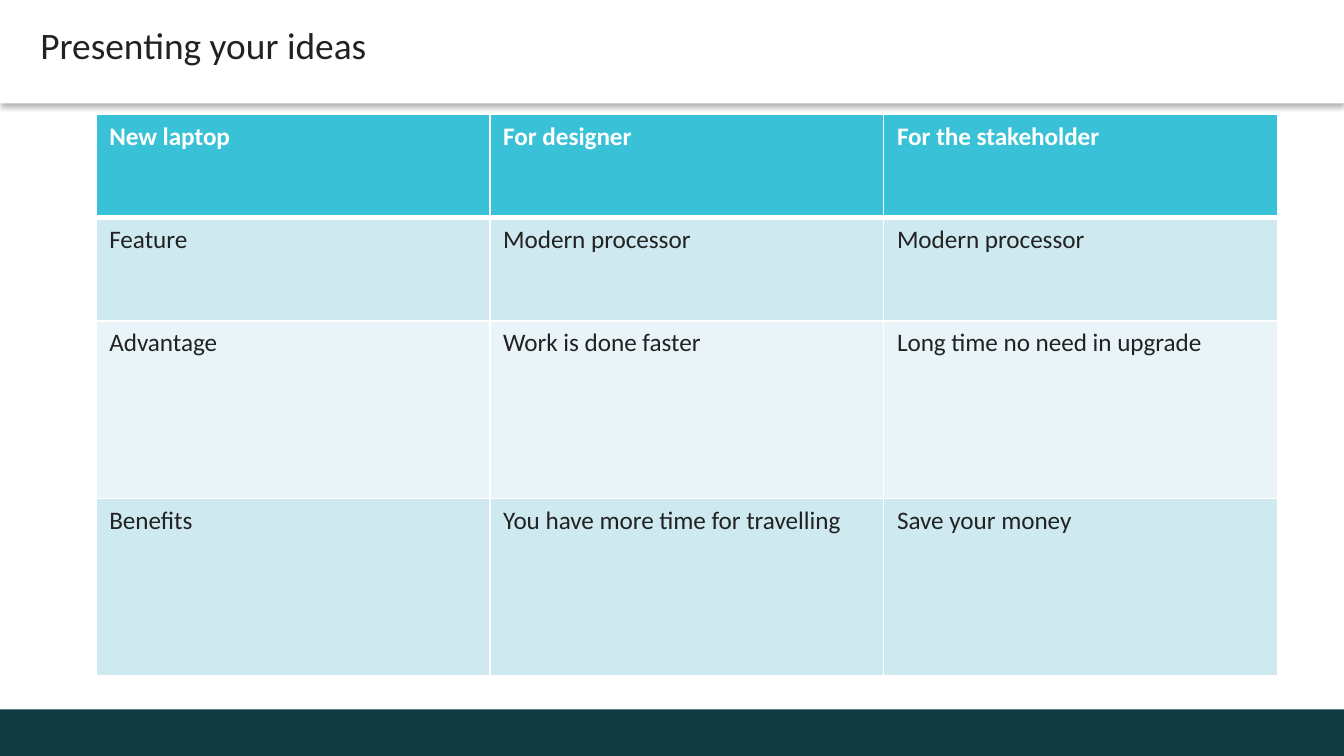
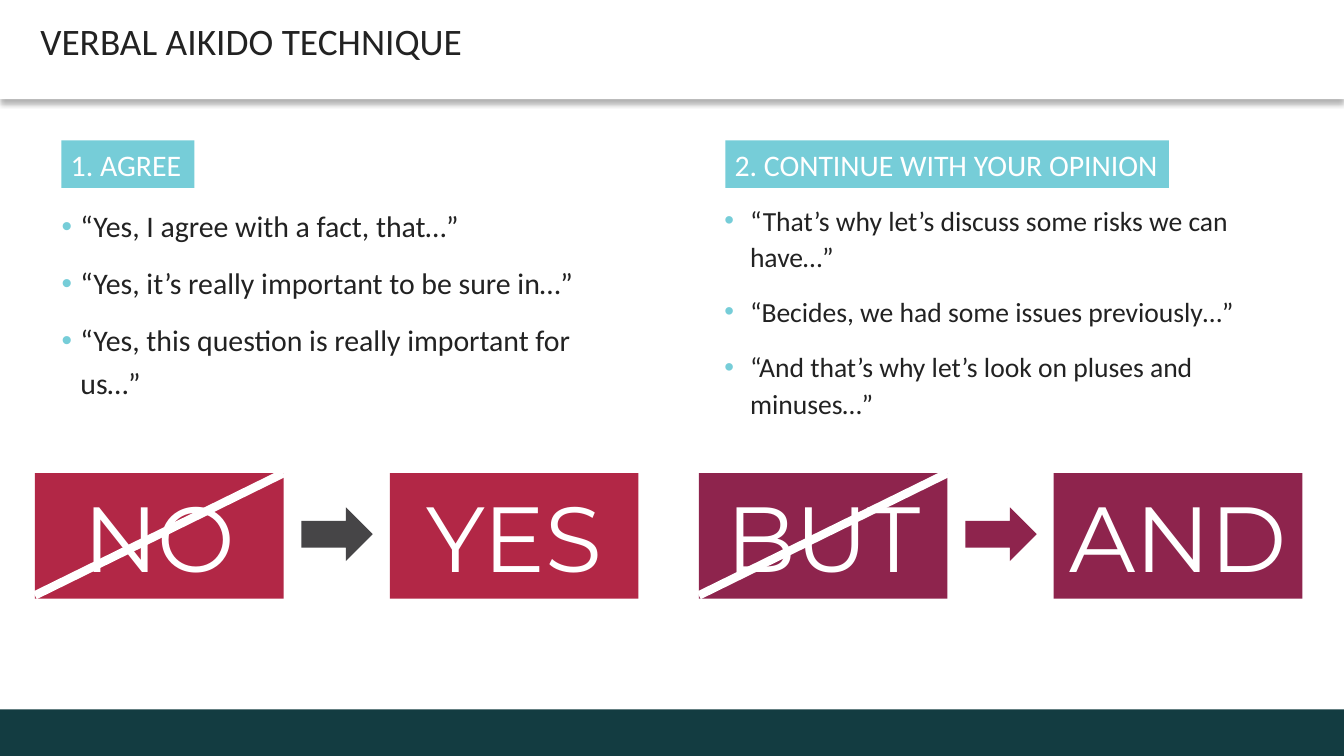
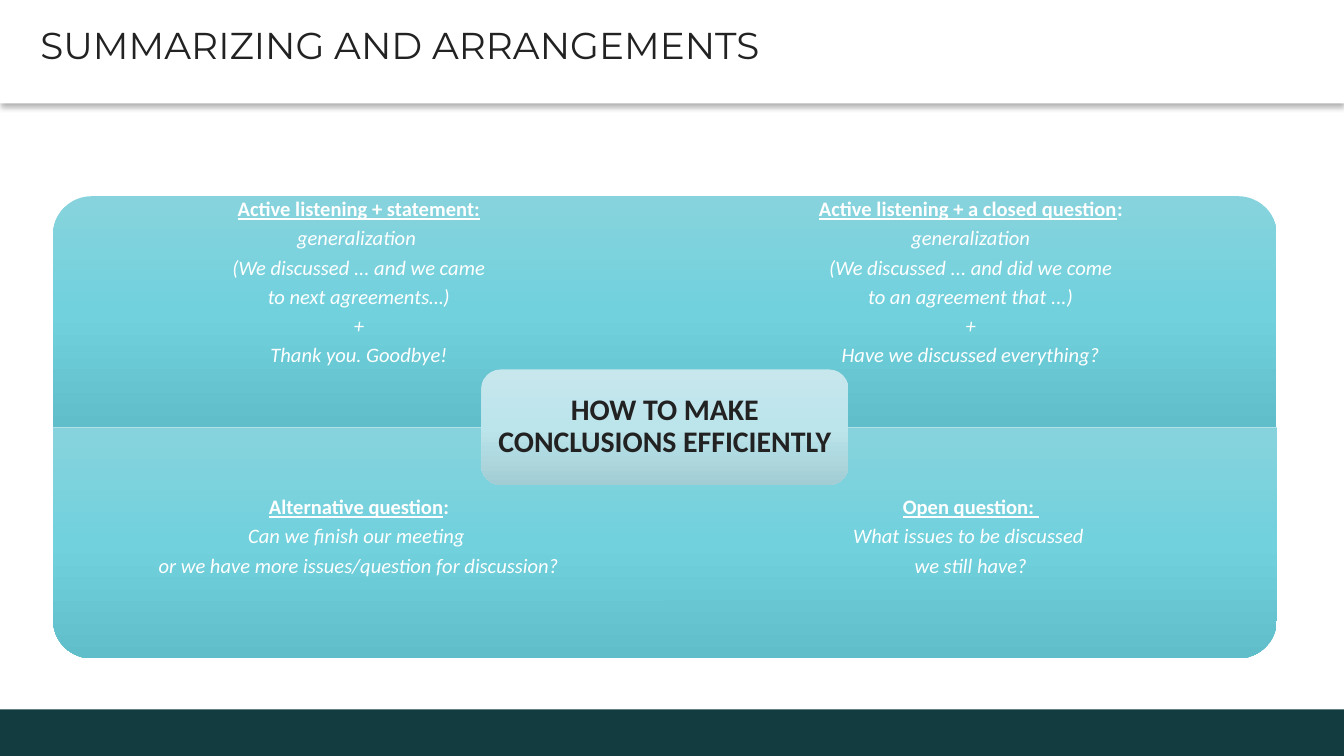
from pptx import Presentation
from pptx.dml.color import RGBColor
from pptx.enum.shapes import MSO_CONNECTOR as Link, MSO_SHAPE as Preset
from pptx.enum.text import MSO_ANCHOR as Anchor, MSO_AUTO_SIZE as AutoSize, PP_ALIGN as Align
from pptx.oxml import parse_xml
from pptx.oxml.ns import nsdecls
from pptx.util import Pt

INK, WHITE, FOOTER, ACCENT = "222222", "FFFFFF", "133C41", "76CDD8"
TABLE_HEAD, TABLE_BANDS = "39C2D7", ("CEE9F0", "E8F4F8")
QUADRANT_STOPS = ("87D3DD", "71D1DD", "5FBECA")
HUB_STOPS = ("C7E7ED", "BBE4EB", "A3CDD4")
WIDTH, HEIGHT, BAND_HEIGHT, FOOTER_HEIGHT = 720, 405, 55.4, 25

IDEAS_TITLE = "Presenting your ideas"
IDEAS = [
    ("New laptop", "For designer", "For the stakeholder"),
    ("Feature", "Modern processor", "Modern processor"),
    ("Advantage", "Work is done faster", "Long time no need in upgrade"),
    ("Benefits", "You have more time for travelling", "Save your money"),
]
IDEAS_COLUMN, IDEAS_ROWS = 211, (55.4, 55.4, 95, 95)

AIKIDO_TITLE = "VERBAL AIKIDO TECHNIQUE"
AIKIDO_PITCH = 355.7
AIKIDO_STEPS = [
    {
        "heading": "1. AGREE", "heading_width": 71.3,
        "phrases": ["“Yes, I agree with a fact, that…”",
                    "“Yes, it’s really important to be sure in…”",
                    "“Yes, this question is really important for us…”"],
        "size": 16, "spacing": 1.2, "after": 7.5, "indent": 10, "inset": 5,
        "words": ("NO", "YES"), "word_color": "B22746", "arrow_color": "464547",
    },
    {
        "heading": "2. CONTINUE WITH YOUR OPINION", "heading_width": 237.6,
        "phrases": ["“That’s why let’s discuss some risks we can have…”",
                    "“Becides, we had some issues previously…”",
                    "“And that’s why let’s look on pluses and minuses…”"],
        "size": 14.8, "spacing": 1.1, "after": 10, "indent": 13.7, "inset": 4.3,
        "words": ("BUT", "AND"), "word_color": "8E244D", "arrow_color": "8E244D",
    },
]

SUMMARY_TITLE = "SUMMARIZING AND ARRANGEMENTS"
SUMMARY_HUB = "HOW TO MAKE CONCLUSIONS EFFICIENTLY"
SUMMARY_QUADRANTS = [
    (270, ("Active listening + statement:", ""),
     ["generalization ", "(We discussed ... and we came", "to next agreements…)", "+",
      "Thank you. Goodbye!"]),
    (0, ("Active listening + a closed question", ":"),
     ["generalization", "(We discussed ... and did we come", "to an agreement that ...)", "+",
      "Have we discussed everything?"]),
    (180, ("Alternative question", ":"),
     ["Can we finish our meeting ", "or we have more issues/question for discussion?"]),
    (90, ("Open question: ", ""),
     ["What issues to be discussed ", "we still have?"]),
]


def rgb(color):
    """Turn a hex string into a colour."""
    return RGBColor.from_string(color)


def place(part, left, top, width, height):
    """Move and size a shape, in points."""
    part.left, part.top, part.width, part.height = (Pt(n) for n in (left, top, width, height))


def paint(part, color):
    """Fill a shape or cell with one colour."""
    part.fill.solid()
    part.fill.fore_color.rgb = rgb(color)


def shade(part, stops):
    """Fill a shape with a vertical gradient that ignores its rotation."""
    marks = "".join(f'<a:gs pos="{50000 * i}"><a:srgbClr val="{stop}"/></a:gs>'
                    for i, stop in enumerate(stops))
    part.element.spPr.insert(2, parse_xml(
        f'<a:gradFill {nsdecls("a")} rotWithShape="0"><a:gsLst>{marks}</a:gsLst>'
        '<a:lin ang="5400000" scaled="0"/></a:gradFill>'))


def write(run, size, color=INK, font="Calibri", bold=False, italic=False, underline=False):
    """Format one run."""
    run.font.size, run.font.name, run.font.color.rgb = Pt(size), font, rgb(color)
    run.font.bold, run.font.italic, run.font.underline = bold, italic, underline


def frame(part, inset, anchor=Anchor.MIDDLE, wrap=True):
    """Set up the text area of a shape; inset is left, top, right, bottom."""
    area = part.text_frame
    area.auto_size, area.word_wrap, area.vertical_anchor = AutoSize.NONE, wrap, anchor
    area.margin_left, area.margin_top, area.margin_right, area.margin_bottom = map(Pt, inset)
    return area


def block(slide, preset, left, top, width, height, color=None):
    """Add a plain preset shape without line or shadow."""
    part = slide.shapes.add_shape(preset, Pt(left), Pt(top), Pt(width), Pt(height))
    part.line.fill.background()
    part.shadow.inherit = False
    if color:
        paint(part, color)
    return part


def new_slide(deck, layout, title, top=0, font="Calibri"):
    """Add a slide with the white, shadowed title band."""
    slide = deck.slides.add_slide(deck.slide_layouts[layout])
    band = slide.shapes.title
    place(band, 0, top, WIDTH, BAND_HEIGHT)
    paint(band, WHITE)
    band.element.spPr.append(parse_xml(
        f'<a:effectLst {nsdecls("a")}><a:outerShdw blurRad="{Pt(3.1)}" dist="{Pt(2)}" '
        'dir="5400000" algn="t" rotWithShape="0"><a:srgbClr val="000000">'
        '<a:alpha val="30000"/></a:srgbClr></a:outerShdw></a:effectLst>'))
    heading = frame(band, (21.6, 2.9, 5, 2.9))
    heading.text = title
    line = heading.paragraphs[0]
    line.alignment, line.line_spacing = Align.LEFT, Pt(16)
    line.space_before, line.space_after = Pt(2.6), Pt(3)
    write(line.runs[0], 20, font=font)
    return slide


def add_footer(deck, slide):
    """Put the footer band on the slide master."""
    footer = block(slide, Preset.RECTANGLE, 0, HEIGHT - FOOTER_HEIGHT, WIDTH, FOOTER_HEIGHT, FOOTER)
    deck.slide_master.shapes.element.append(footer.element)


def edge(cell, top, bottom):
    """Draw white cell borders."""
    borders = cell._tc.get_or_add_tcPr()
    for side, width in (("L", 1), ("R", 1), ("T", top), ("B", bottom)):
        borders.append(parse_xml(
            f'<a:ln{side} {nsdecls("a")} w="{Pt(width)}"><a:solidFill>'
            f'<a:srgbClr val="{WHITE}"/></a:solidFill></a:ln{side}>'))


def ideas_slide(deck):
    """Build the table of features, advantages and benefits."""
    slide = new_slide(deck, 5, IDEAS_TITLE)
    add_footer(deck, slide)
    columns = len(IDEAS[0])
    ideas = slide.shapes.add_table(len(IDEAS), columns, Pt(51.4), Pt(61.3),
                                   Pt(IDEAS_COLUMN * columns), Pt(sum(IDEAS_ROWS))).table
    for column in ideas.columns:
        column.width = Pt(IDEAS_COLUMN)
    for r, (entries, height) in enumerate(zip(IDEAS, IDEAS_ROWS)):
        ideas.rows[r].height = Pt(height)
        head = r == 0
        for c, entry in enumerate(entries):
            cell = ideas.cell(r, c)
            edge(cell, 3 if r == 1 else 1, 3 if head else 1)
            paint(cell, TABLE_HEAD if head else TABLE_BANDS[(r - 1) % 2])
            cell.text_frame.text = entry
            write(cell.text_frame.paragraphs[0].runs[0], 13.5, WHITE if head else INK, bold=head)


def list_phrases(phrases, step, left):
    """Fill a body placeholder with the bulleted phrases of a step."""
    place(phrases, left, 105.1, 313.9, 124.6)
    inset = step["inset"]
    area = frame(phrases, (inset, inset / 2, inset, inset / 2), Anchor.TOP)
    area.text = "\n".join(step["phrases"])
    for phrase in area.paragraphs:
        phrase.line_spacing = step["spacing"]
        phrase.space_before, phrase.space_after = Pt(0), Pt(step["after"])
        layout = phrase._p.get_or_add_pPr()
        layout.set("marL", str(Pt(step["indent"])))
        layout.set("indent", str(-Pt(step["indent"])))
        for bullet in (f'<a:buClr {nsdecls("a")}><a:srgbClr val="{ACCENT}"/></a:buClr>',
                       f'<a:buFont {nsdecls("a")} typeface="Arial"/>',
                       f'<a:buChar {nsdecls("a")} char="•"/>'):
            layout.append(parse_xml(bullet))
        write(phrase.runs[0], step["size"])


def swap_words(slide, step, left):
    """Draw the struck-out word, the arrow and the word that replaces it."""
    top, width, height = 253.5, 133.2, 67.2
    for word, start in zip(step["words"], (left, left + 190.1)):
        tile = block(slide, Preset.RECTANGLE, start, top, width, height, step["word_color"])
        area = frame(tile, (7.2, 3.6, 7.2, 3.6), wrap=False)
        area.text = word
        area.paragraphs[0].alignment = Align.CENTER
        write(area.paragraphs[0].runs[0], 49.5, WHITE, "Montserrat")
        if start == left:
            strike = slide.shapes.add_connector(Link.STRAIGHT, Pt(left + width), Pt(top),
                                                Pt(left), Pt(top + 65.5))
            strike.line.color.rgb, strike.line.width = rgb(WHITE), Pt(4.5)
            strike.element.spPr.append(parse_xml(f'<a:effectLst {nsdecls("a")}/>'))
    block(slide, Preset.RIGHT_ARROW, left + 142.8, 271.8, 38.2, 28.8, step["arrow_color"])


def aikido_slide(deck):
    """Build the two steps of the technique side by side."""
    slide = new_slide(deck, 3, AIKIDO_TITLE, top=-2.2)
    for i, step in enumerate(AIKIDO_STEPS):
        shift = i * AIKIDO_PITCH
        list_phrases(slide.placeholders[i + 1], step, 28.1 + shift)
        tag = block(slide, Preset.RECTANGLE, 32.9 + shift, 75.3, step["heading_width"], 25.4, ACCENT)
        area = frame(tag, (5, 4, 5, 4), wrap=False)
        area.text = step["heading"]
        area.paragraphs[0].alignment = Align.LEFT
        write(area.paragraphs[0].runs[0], 16, WHITE)
        swap_words(slide, step, 18.7 + shift)


def summary_slide(deck):
    """Build the four ways to conclude around a central hub."""
    slide = new_slide(deck, 5, SUMMARY_TITLE, font="Montserrat")
    left, top, width, height, text_height = 28.4, 105.1, 327.8, 123.8, 92.9
    for i, (turn, heading, lines) in enumerate(SUMMARY_QUADRANTS):
        row, column = divmod(i, 2)
        x, y = left + column * width, top + row * height
        w, h = (height, width) if turn % 180 else (width, height)
        quadrant = block(slide, Preset.ROUND_1_RECTANGLE,
                         x + (width - w) / 2, y + (height - h) / 2, w, h)
        quadrant.rotation = turn
        shade(quadrant, QUADRANT_STOPS)

        text_top = y + row * (height - text_height)
        advice = slide.shapes.add_textbox(Pt(x), Pt(text_top), Pt(width), Pt(text_height))
        area = frame(advice, (6.5,) * 4, Anchor.TOP if row else Anchor.MIDDLE)
        area.text = "\n".join([heading[0], *lines])
        for n, line in enumerate(area.paragraphs):
            line.alignment, line.line_spacing, line.space_after = Align.CENTER, 0.9, Pt(3.7)
            write(line.runs[0], 11, WHITE, bold=n == 0, italic=n > 0, underline=n == 0)
        if heading[1]:
            tail = area.paragraphs[0].add_run()
            tail.text = heading[1]
            write(tail, 11, WHITE, bold=True)

    hub_width, hub_height = 196.7, 61.9
    hub = block(slide, Preset.ROUNDED_RECTANGLE, left + width - hub_width / 2,
                top + height - hub_height / 2, hub_width, hub_height)
    shade(hub, HUB_STOPS)
    area = frame(hub, (4.8,) * 4)
    area.text = SUMMARY_HUB
    area.paragraphs[0].alignment, area.paragraphs[0].line_spacing = Align.CENTER, 0.9
    write(area.paragraphs[0].runs[0], 16, bold=True)


def main():
    """Build and save the deck."""
    deck = Presentation()
    deck.slide_width, deck.slide_height = Pt(WIDTH), Pt(HEIGHT)
    ideas_slide(deck)
    aikido_slide(deck)
    summary_slide(deck)
    deck.save("out.pptx")


if __name__ == "__main__":
    main()
